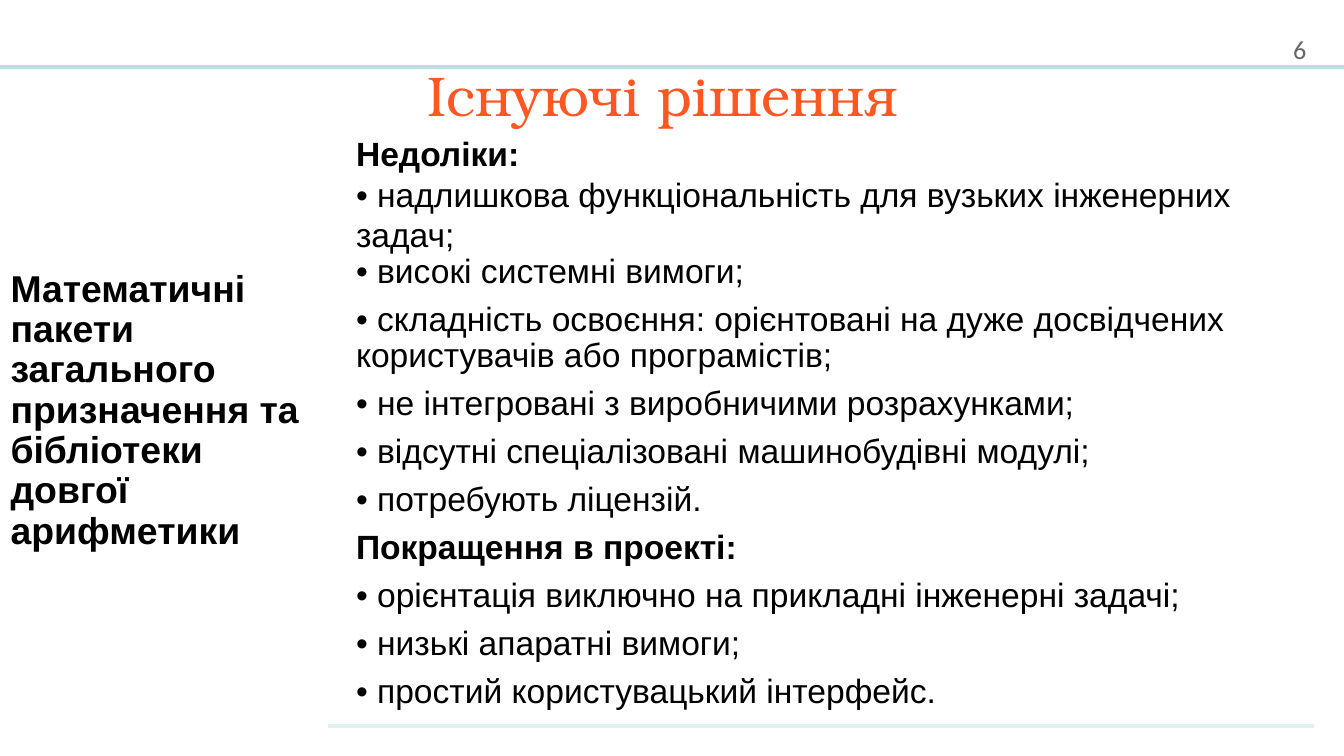
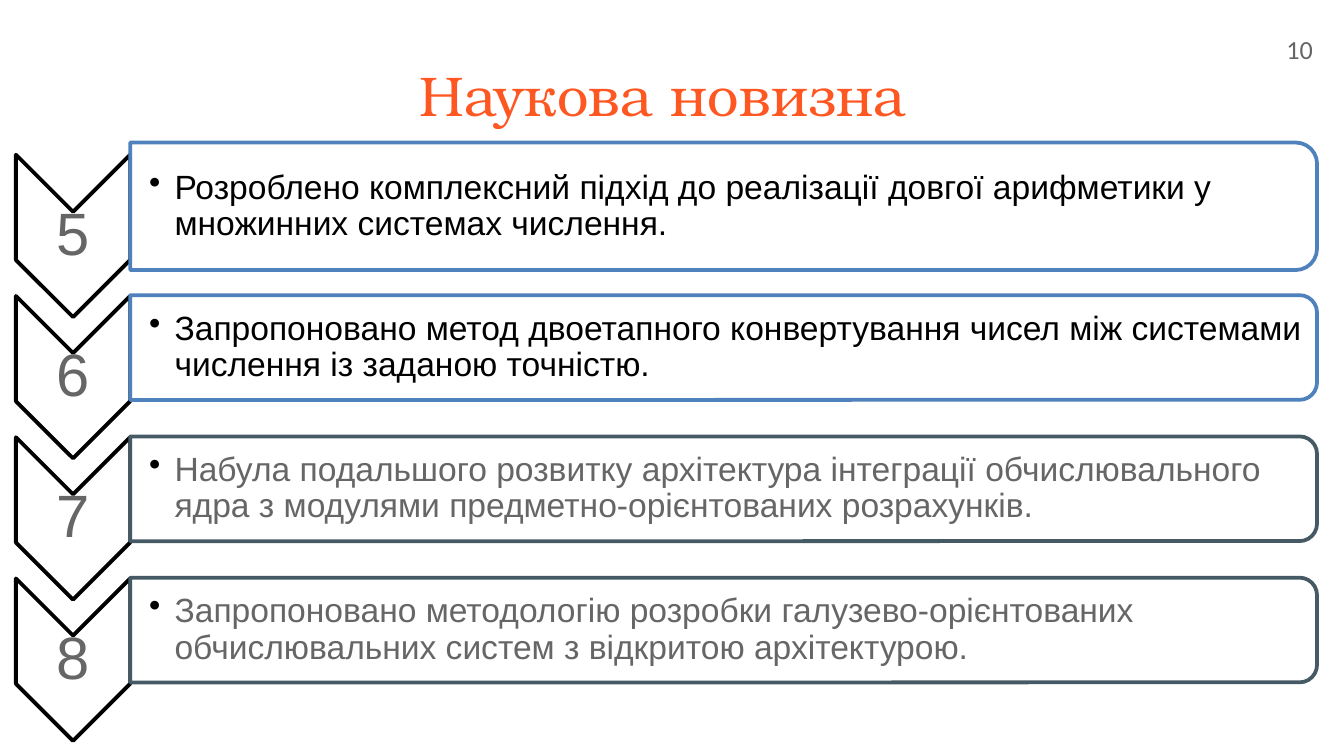
import pptx
import pptx.dml.color
import pptx.enum.shapes
import pptx.enum.text
import pptx.oxml
import pptx.oxml.ns
import pptx.util
from lxml import etree

Cm = pptx.util.Cm
Pt = pptx.util.Pt
Shape = pptx.enum.shapes.MSO_SHAPE
Align = pptx.enum.text.PP_ALIGN
Anchor = pptx.enum.text.MSO_ANCHOR

# Shared style
SLIDE_WIDTH, SLIDE_HEIGHT = 25.4, 14.29
TITLE_FONT, BODY_FONT, NUMBER_FONT = "TeX Gyre Bonum", "Arial", "Calibri"
ORANGE, BLACK, WHITE, GREY = "FF5722", "000000", "FFFFFF", "666666"
BLUE, SLATE = "4F81BD", "455A64"
RULE, PALE_RULE = "BBE0E3", "E0F0F2"

# Slide content
CATEGORY = "Математичні пакети загального призначення та бібліотеки довгої арифметики"
DRAWBACKS = "Недоліки:"
IMPROVEMENTS = "Покращення в проекті:"
REVIEW = [
    DRAWBACKS,
    "• надлишкова функціональність для вузьких інженерних задач;",
    "• високі системні вимоги;",
    "• складність освоєння: орієнтовані на дуже досвідчених користувачів або програмістів;",
    "• не інтегровані з виробничими розрахунками;",
    "• відсутні спеціалізовані машинобудівні модулі;",
    "• потребують ліцензій.",
    IMPROVEMENTS,
    "• орієнтація виключно на прикладні інженерні задачі;",
    "• низькі апаратні вимоги;",
    "• простий користувацький інтерфейс.",
]
# Text, text colour, outline colour, card height
NOVELTY = [
    ("Розроблено комплексний підхід до реалізації довгої арифметики у "
     "множинних системах числення.", BLACK, BLUE, 2.41),
    ("Запропоновано метод двоетапного конвертування чисел між системами "
     "числення із заданою точністю.", BLACK, BLUE, 1.98),
    ("Набула подальшого розвитку архітектура інтеграції обчислювального "
     "ядра з модулями предметно-орієнтованих розрахунків.", GREY, SLATE, 1.98),
    ("Запропоновано методологію розробки галузево-орієнтованих "
     "обчислювальних систем з відкритою архітектурою.", GREY, SLATE, 1.98),
]


def colour(value):
    return pptx.dml.color.RGBColor.from_string(value)


def set_frame(frame, anchor, inset_x, inset_y):
    frame.word_wrap = True
    frame.auto_size = pptx.enum.text.MSO_AUTO_SIZE.NONE
    frame.vertical_anchor = anchor
    frame.margin_left = frame.margin_right = Cm(inset_x)
    frame.margin_top = frame.margin_bottom = Cm(inset_y)


def format_para(para, size, text_colour, name=BODY_FONT, bold=False, align=Align.LEFT,
                spacing=1.0, after=0):
    para.alignment = align
    para.line_spacing = spacing
    para.space_before = Pt(0)
    para.space_after = Pt(after)
    para.font.size = Pt(size)
    para.font.name = name
    para.font.bold = bold
    para.font.color.rgb = colour(text_colour)


def add_box(page, left, top, width, height, anchor, inset_x, inset_y):
    box = page.shapes.add_textbox(Cm(left), Cm(top), Cm(width), Cm(height))
    set_frame(box.text_frame, anchor, inset_x, inset_y)
    return box.text_frame


def add_rule(page, left, right, top, line_colour):
    rule = page.shapes.add_connector(pptx.enum.shapes.MSO_CONNECTOR.STRAIGHT,
                                     Cm(left), Cm(top), Cm(right), Cm(top))
    rule.line.color.rgb = colour(line_colour)
    rule.line.width = Pt(2)
    etree.SubElement(rule.element.spPr, pptx.oxml.ns.qn("a:effectLst"))


def add_turned_shape(page, kind, left, middle, width, height, line_colour):
    """Add a shape turned by 90°; width and height are as seen on the slide."""
    shape = page.shapes.add_shape(kind, Cm(left + (width - height) / 2),
                                  Cm(middle - width / 2), Cm(height), Cm(width))
    shape.rotation = 90
    shape.shadow.inherit = False
    shape.fill.solid()
    shape.fill.fore_color.rgb = colour(WHITE)
    shape.line.color.rgb = colour(line_colour)
    shape.line.width = Pt(2)
    return shape


def set_opacity(shape, percent):
    fill = shape.element.spPr.find(pptx.oxml.ns.qn("a:solidFill"))
    etree.SubElement(fill[0], pptx.oxml.ns.qn("a:alpha"), val=str(percent * 1000))


def add_bullet(para, indent):
    properties = para._p.get_or_add_pPr()
    properties.set("marL", str(Cm(indent)))
    properties.set("indent", str(-Cm(indent)))
    bullet_colour = etree.SubElement(properties, pptx.oxml.ns.qn("a:buClr"))
    etree.SubElement(bullet_colour, pptx.oxml.ns.qn("a:srgbClr"), val=BLACK)
    etree.SubElement(properties, pptx.oxml.ns.qn("a:buChar"), char="•")


def add_page(deck, heading, number):
    page = deck.slides.add_slide(deck.slide_layouts.get_by_name("Title Only"))
    title = page.shapes.title
    title.left, title.top, title.width, title.height = Cm(0.81), Cm(0.58), Cm(23.44), Cm(2.39)
    set_frame(title.text_frame, Anchor.MIDDLE, 0.25, 0.13)
    title.text_frame.text = heading
    format_para(title.text_frame.paragraphs[0], 30, ORANGE, TITLE_FONT, align=Align.CENTER)

    frame = add_box(page, 23.93, 0.36, 1.27, 0.99, Anchor.BOTTOM, 0.25, 0.13)
    frame.text = number
    format_para(frame.paragraphs[0], 14, GREY, NUMBER_FONT, align=Align.CENTER)
    return page


def add_review(page):
    # Category on the left
    add_rule(page, 0, SLIDE_WIDTH, 1.27, RULE)
    frame = add_box(page, 0, 1.27, 6.2, 13, Anchor.MIDDLE, 0.2, 0.2)
    frame.text = CATEGORY
    format_para(frame.paragraphs[0], 20, BLACK, bold=True, spacing=0.9)

    # Drawbacks and improvements on the right
    frame = add_box(page, 6.55, 2.34, 18.82, 11.89, Anchor.TOP, 0.18, 0.18)
    frame.text = "\n".join(REVIEW)
    for index, para in enumerate(frame.paragraphs):
        opening = index < 2
        format_para(para, 18, BLACK, bold=para.text in (DRAWBACKS, IMPROVEMENTS),
                    spacing=1.0 if opening else 0.9, after=0 if opening else 6.3)
    add_rule(page, 6.2, 24.84, 13.72, PALE_RULE)


def add_novelty_row(page, number, middle, text, text_colour, line_colour, height):
    # Numbered chevron
    chevron_middle = middle + 0.56
    add_turned_shape(page, Shape.CHEVRON, 0.3, chevron_middle, 2.16, 3.07, BLACK)
    frame = add_box(page, 0.3, chevron_middle - 0.46, 2.16, 0.92, Anchor.MIDDLE, 0.05, 0.05)
    frame.text = str(number)
    format_para(frame.paragraphs[0], 32, GREY, align=Align.CENTER, spacing=0.9)

    # Card with its statement
    card = add_turned_shape(page, Shape.ROUND_2_SAME_RECTANGLE, 2.46, middle,
                            22.43, height, line_colour)
    set_opacity(card, 90)
    text_height = height - 0.2
    frame = add_box(page, 2.46, middle - text_height / 2, 22.35, text_height,
                    Anchor.MIDDLE, 0.03, 0.03)
    frame.margin_left = Cm(0.36)
    frame.text = text
    para = frame.paragraphs[0]
    para.level = 1
    add_bullet(para, 0.48)
    format_para(para, 18, text_colour, spacing=0.9)


def main():
    deck = pptx.Presentation()
    deck.slide_width, deck.slide_height = Cm(SLIDE_WIDTH), Cm(SLIDE_HEIGHT)

    add_review(add_page(deck, "Існуючі рішення", "6"))

    page = add_page(deck, "Наукова новизна", "10")
    for index, row in enumerate(NOVELTY):
        add_novelty_row(page, 5 + index, 3.9 + 2.67 * index, *row)

    deck.save("out.pptx")


if __name__ == "__main__":
    main()
